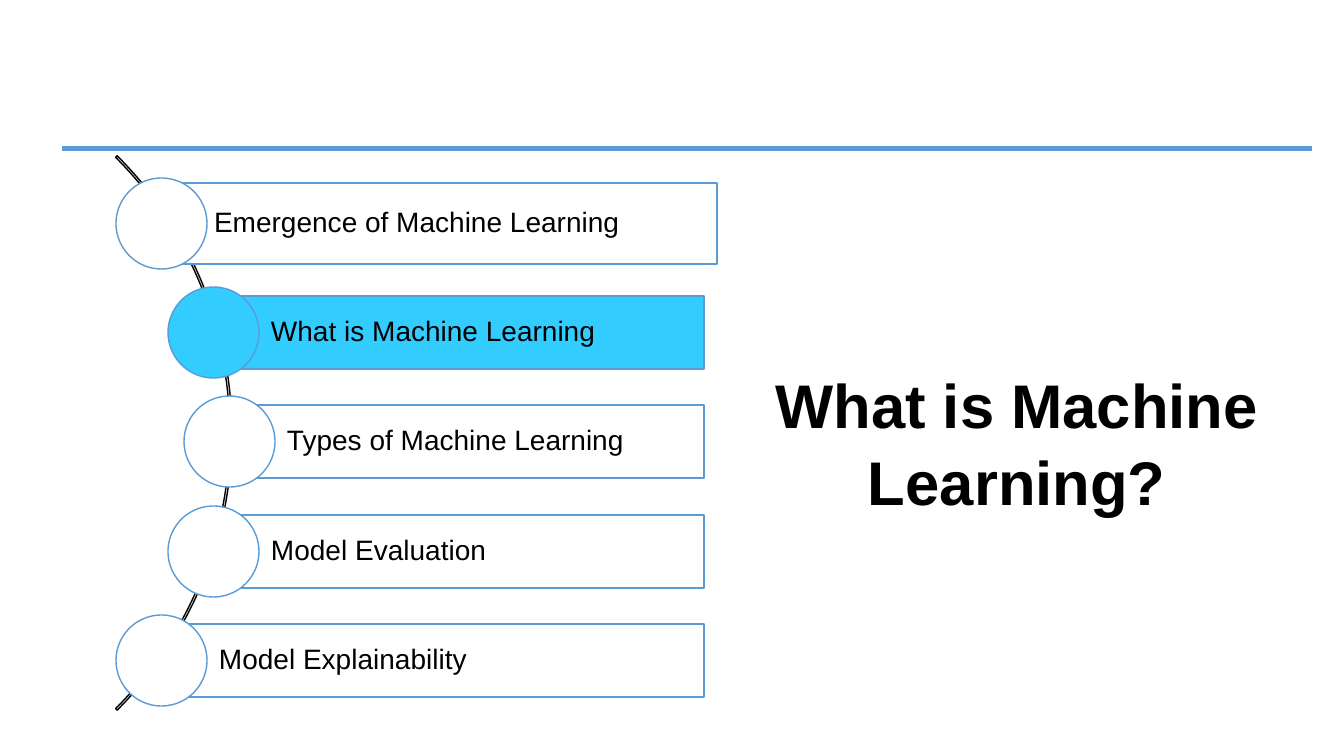
from pptx import Presentation
from pptx.dml.color import RGBColor
from pptx.enum.shapes import MSO_SHAPE
from pptx.enum.text import MSO_ANCHOR, PP_ALIGN
from pptx.util import Pt

PX = 914400 / 100.8
COLORS = {"blue": "5B9BD5", "cyan": "33CCFF", "white": "FFFFFF", "black": "000000"}

deck = Presentation()
deck.slide_width, deck.slide_height = round(1344 * PX), round(756 * PX)
slide = deck.slides.add_slide(deck.slide_layouts[6])


def add_outline(kind, box, fill, line):
    shape = slide.shapes.add_shape(kind, *(round(n * PX) for n in box))
    shape.shadow.inherit = False
    if fill:
        shape.fill.solid()
        shape.fill.fore_color.rgb = RGBColor.from_string(COLORS[fill])
    else:
        shape.fill.background()
    shape.line.color.rgb = RGBColor.from_string(COLORS[line])
    shape.line.width = Pt(1)
    return shape


def write(text, holder, size, margins, spacing, bold=False,
          align=PP_ALIGN.LEFT, anchor=MSO_ANCHOR.MIDDLE):
    frame = holder.text_frame
    frame.word_wrap = True
    frame.vertical_anchor = anchor
    (frame.margin_left, frame.margin_top,
     frame.margin_right, frame.margin_bottom) = (round(n * PX) for n in margins)
    paragraph = frame.paragraphs[0]
    paragraph.alignment = align
    paragraph.line_spacing = spacing
    run = paragraph.add_run()
    run.text = text
    run.font.name = "Arial"
    run.font.size = Pt(size)
    run.font.bold = bold
    run.font.color.rgb = RGBColor.from_string(COLORS["black"])


add_outline(MSO_SHAPE.RECTANGLE, (61, 145, 1252, 7), "blue", "white")

agenda_arc = add_outline(MSO_SHAPE.BLOCK_ARC, (-552, 41, 784, 784), None, "black")
for index, value in enumerate((189, 27, 0.0028)):
    agenda_arc.adjustments[index] = value

topics = [
    ("Emergence of Machine Learning", 116, (149, 717, 81), 65, "white"),
    ("What is Machine Learning", 168, (214, 704, 73), 57, "cyan"),
    ("Types of Machine Learning", 184, (230, 704, 73), 57, "white"),
    ("Model Evaluation", 168, (214, 704, 73), 57, "white"),
    ("Model Explainability", 116, (162, 704, 73), 57, "white"),
]
DOT = 91
for row, (topic, dot_left, (left, right, height), indent, fill) in enumerate(topics):
    dot_top = 178 + row * 1094 // 10
    bar_top = dot_top + (DOT - height) // 2
    bar = add_outline(MSO_SHAPE.RECTANGLE, (left, bar_top, right - left, height), fill, "blue")
    write(topic, bar, 20, (indent, 6, 6, 6), 0.9)
    add_outline(MSO_SHAPE.OVAL, (dot_left, dot_top, DOT, DOT), fill, "blue")

section_title = slide.shapes.add_textbox(*(round(n * PX) for n in (691, 358, 652, 159)))
write("What is Machine Learning?", section_title, 44, (10, 5, 10, 5), 1.05,
      bold=True, align=PP_ALIGN.CENTER, anchor=MSO_ANCHOR.TOP)

deck.save("out.pptx")
